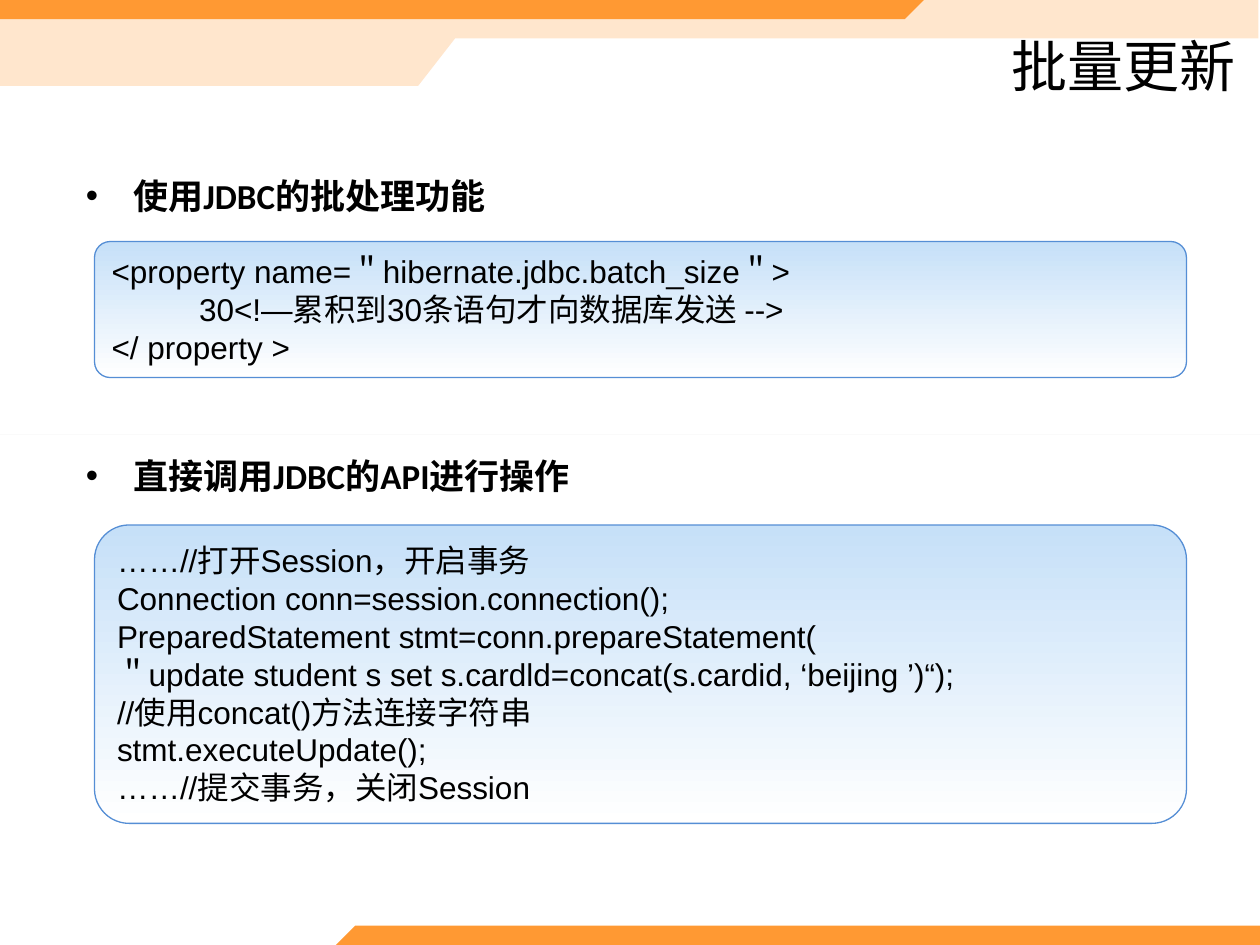
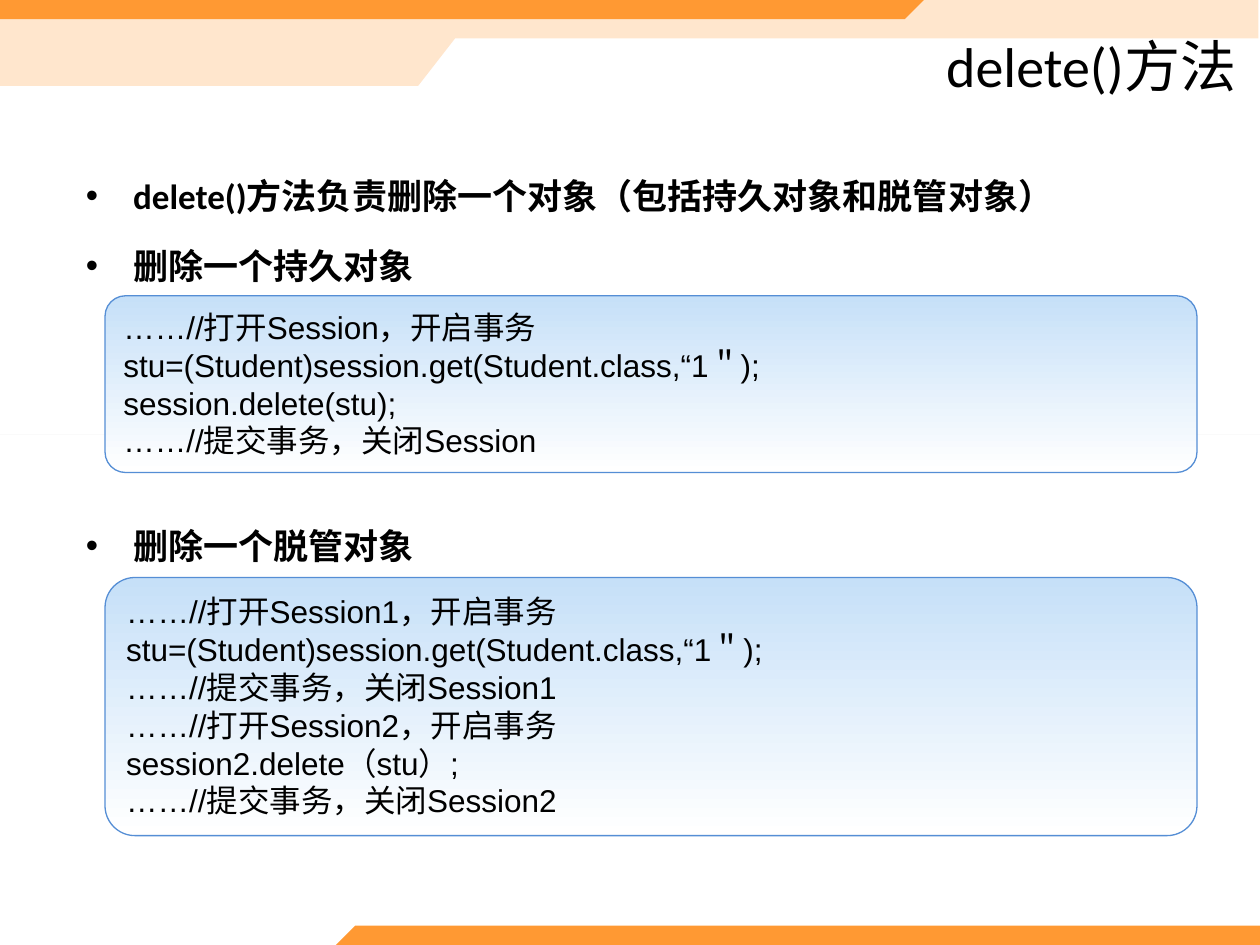
from dataclasses import dataclass

from lxml.etree import SubElement
from pptx import Presentation
from pptx.dml.color import RGBColor
from pptx.enum.lang import MSO_LANGUAGE_ID
from pptx.enum.shapes import MSO_SHAPE
from pptx.enum.text import MSO_ANCHOR, MSO_AUTO_SIZE, PP_ALIGN
from pptx.oxml.ns import qn
from pptx.slide import Slide
from pptx.text.text import TextFrame, _Paragraph
from pptx.util import Pt


# Theme: colours, fonts and type sizes
@dataclass(frozen=True)
class Theme:
    ink: RGBColor = RGBColor(0, 0, 0)
    peach: RGBColor = RGBColor(0xFF, 0xE6, 0xCD)
    orange: RGBColor = RGBColor(0xFF, 0x99, 0x33)
    rule: RGBColor = RGBColor(0xD9, 0xD9, 0xD9)
    sky: RGBColor = RGBColor(0xC6, 0xE0, 0xF8)
    white: RGBColor = RGBColor(0xFF, 0xFF, 0xFF)
    edge: RGBColor = RGBColor(0x55, 0x8E, 0xD5)
    text: str = "Calibri"
    code: str = "Arial"
    title_size: int = 32
    point_size: int = 20
    code_size: int = 18


THEME = Theme()
WIDTH, HEIGHT = 720, 540
ROW = 40  # height of one bullet row, its spacing included
GAP = 4  # space before each bullet
HANG = 27


@dataclass(frozen=True)
class Band:
    color: RGBColor
    points: tuple[tuple[float, float], ...]


@dataclass(frozen=True)
class Point:
    text: str
    skip: int = 0  # rows left free above the bullet for a code panel


@dataclass(frozen=True)
class Line:
    text: str
    indent: float = 0


@dataclass(frozen=True)
class Panel:
    left: float
    top: float
    height: float
    lines: tuple[Line, ...]


@dataclass(frozen=True)
class Page:
    title: str
    points: tuple[Point, ...]
    panels: tuple[Panel, ...]


# Shared frame
BANDS = (
    Band(THEME.peach, ((719, 0), (0, 0), (0, 49), (239, 49), (260, 21.5), (719, 21.5))),
    Band(THEME.orange, ((528, 0), (517, 11), (0, 11), (0, 0))),
    Band(THEME.orange, ((192, 540), (203, 529), (720, 529), (720, 540))),
)

# Content
OPEN = Line("……//打开Session，开启事务")
CLOSE = Line("……//提交事务，关闭Session")
LOAD = Line("stu=(Student)session.get(Student.class,“1＂);")

PAGES = (
    Page(
        "批量更新",
        (Point("使用JDBC的批处理功能"), Point("直接调用JDBC的API进行操作", 3)),
        (
            Panel(54, 138, 77.75, (
                Line("<property name=＂hibernate.jdbc.batch_size＂>"),
                Line("30<!—累积到30条语句才向数据库发送 -->", 50),
                Line("</ property >"),
            )),
            Panel(54, 300, 170.5, (
                OPEN,
                Line("Connection conn=session.connection();"),
                Line("PreparedStatement stmt=conn.prepareStatement("),
                Line("＂update student s set s.cardld=concat(s.cardid, ‘beijing ’)“);"),
                Line("//使用concat()方法连接字符串"),
                Line("stmt.executeUpdate();"),
                CLOSE,
            )),
        ),
    ),
    Page(
        "delete()方法",
        (
            Point("delete()方法负责删除一个对象（包括持久对象和脱管对象）"),
            Point("删除一个持久对象"),
            Point("删除一个脱管对象", 3),
        ),
        (
            Panel(60, 169, 101, (OPEN, LOAD, Line("session.delete(stu);"), CLOSE)),
            Panel(60, 330, 147.5, (
                Line("……//打开Session1，开启事务"),
                LOAD,
                Line("……//提交事务，关闭Session1"),
                Line("……//打开Session2，开启事务"),
                Line("session2.delete（stu）;"),
                Line("……//提交事务，关闭Session2"),
            )),
        ),
    ),
)


# Text helpers
def add_run(para: _Paragraph, text: str, face: str, size: int, bold: bool = False) -> None:
    run = para.add_run()
    run.text = text
    font = run.font
    font.name, font.size, font.bold = face, Pt(size), bold
    font.color.rgb = THEME.ink
    font.language_id = MSO_LANGUAGE_ID.SIMPLIFIED_CHINESE


def next_para(frame: TextFrame, index: int) -> _Paragraph:
    return frame.add_paragraph() if index else frame.paragraphs[0]


def add_box(slide: Slide, left: float, top: float, width: float, height: float) -> TextFrame:
    frame = slide.shapes.add_textbox(Pt(left), Pt(top), Pt(width), Pt(height)).text_frame
    frame.word_wrap = True
    return frame


# Parts of a slide
def draw_band(slide: Slide, band: Band) -> None:
    first, *rest = band.points
    path = slide.shapes.build_freeform(*first, scale=Pt(1))
    path.add_line_segments(rest, close=True)
    shape = path.convert_to_shape()
    shape.shadow.inherit = False
    shape.fill.solid()
    shape.fill.fore_color.rgb = band.color
    shape.line.fill.background()


def draw_title(slide: Slide, title: str) -> None:
    frame = add_box(slide, 292, 20, 421.5, 34)
    frame.vertical_anchor = MSO_ANCHOR.MIDDLE
    para = frame.paragraphs[0]
    para.alignment = PP_ALIGN.RIGHT
    add_run(para, title, THEME.text, THEME.title_size)


def draw_points(slide: Slide, points: tuple[Point, ...]) -> None:
    frame = add_box(slide, 42, 84, 654, 54)
    for index, point in enumerate(points):
        para = next_para(frame, index)
        para.line_spacing = 1.5
        para.space_before = Pt(GAP + point.skip * ROW)
        props = para._p.get_or_add_pPr()
        props.set("marL", str(Pt(HANG)))
        props.set("indent", str(-Pt(HANG)))
        SubElement(props, qn("a:buFont"), typeface=THEME.code)
        SubElement(props, qn("a:buChar"), char="•")
        add_run(para, point.text, THEME.text, THEME.point_size, True)


def draw_rule(slide: Slide) -> None:
    rule = slide.shapes.add_shape(MSO_SHAPE.RECTANGLE, 0, Pt(248.2), Pt(WIDTH), Pt(0.1))
    rule.shadow.inherit = False
    rule.fill.solid()
    rule.fill.fore_color.rgb = THEME.rule
    rule.line.fill.background()


def draw_panel(slide: Slide, panel: Panel) -> None:
    shape = slide.shapes.add_shape(
        MSO_SHAPE.ROUNDED_RECTANGLE,
        Pt(panel.left), Pt(panel.top), Pt(624), Pt(panel.height),
    )
    shape.adjustments[0] = 0.116
    shape.shadow.inherit = False
    shape.fill.gradient()
    shape.fill.gradient_angle = 270
    for stop, color in zip(shape.fill.gradient_stops, (THEME.sky, THEME.white)):
        stop.color.rgb = color
    shape.line.color.rgb = THEME.edge
    shape.line.width = Pt(0.75)

    frame = shape.text_frame
    frame.word_wrap = True
    frame.auto_size = MSO_AUTO_SIZE.SHAPE_TO_FIT_TEXT
    frame.vertical_anchor = MSO_ANCHOR.TOP
    for index, line in enumerate(panel.lines):
        para = next_para(frame, index)
        para.alignment = PP_ALIGN.LEFT
        if line.indent:
            para._p.get_or_add_pPr().set("marL", str(Pt(line.indent)))
        add_run(para, line.text, THEME.code, THEME.code_size)


def draw_page(slide: Slide, page: Page) -> None:
    for band in BANDS:
        draw_band(slide, band)
    draw_title(slide, page.title)
    draw_points(slide, page.points)
    draw_rule(slide)
    for panel in page.panels:
        draw_panel(slide, panel)


def main() -> None:
    deck = Presentation()
    deck.slide_width, deck.slide_height = Pt(WIDTH), Pt(HEIGHT)
    blank = deck.slide_layouts[6]
    for page in PAGES:
        draw_page(deck.slides.add_slide(blank), page)
    deck.save("out.pptx")


if __name__ == "__main__":
    main()
